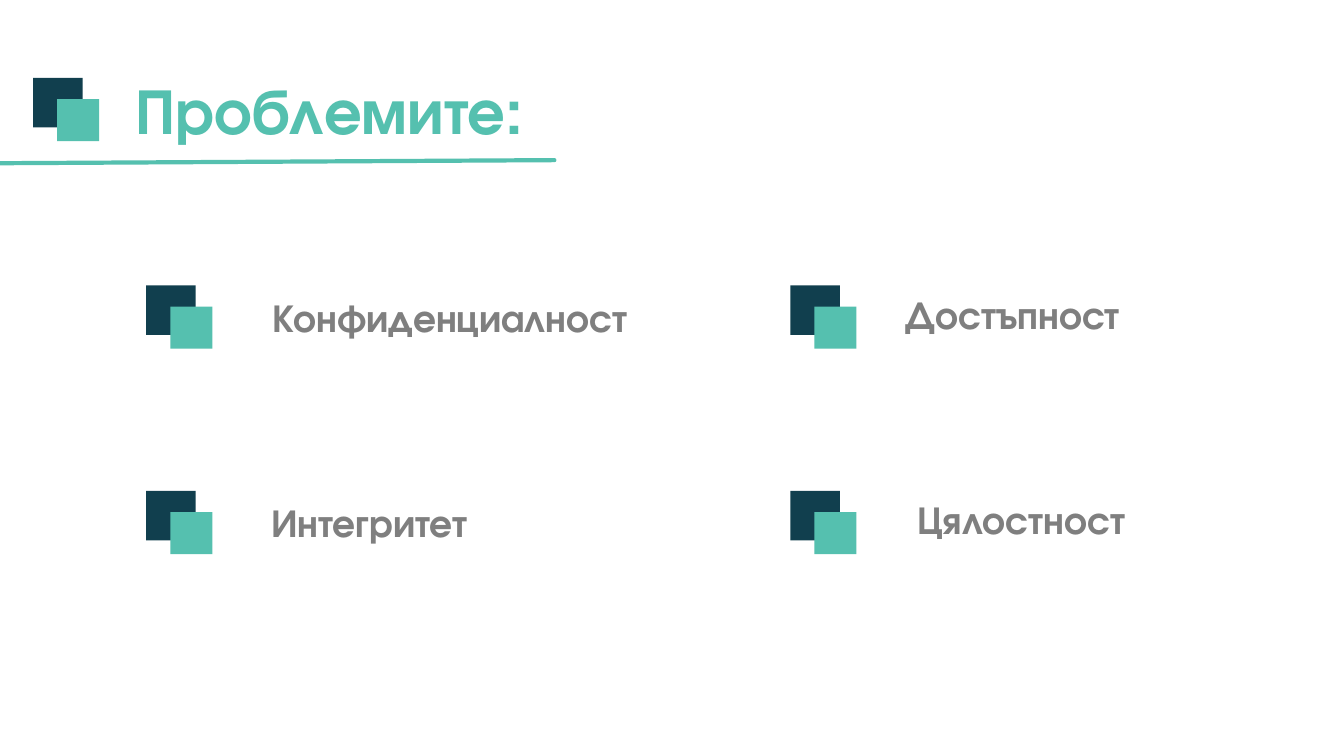
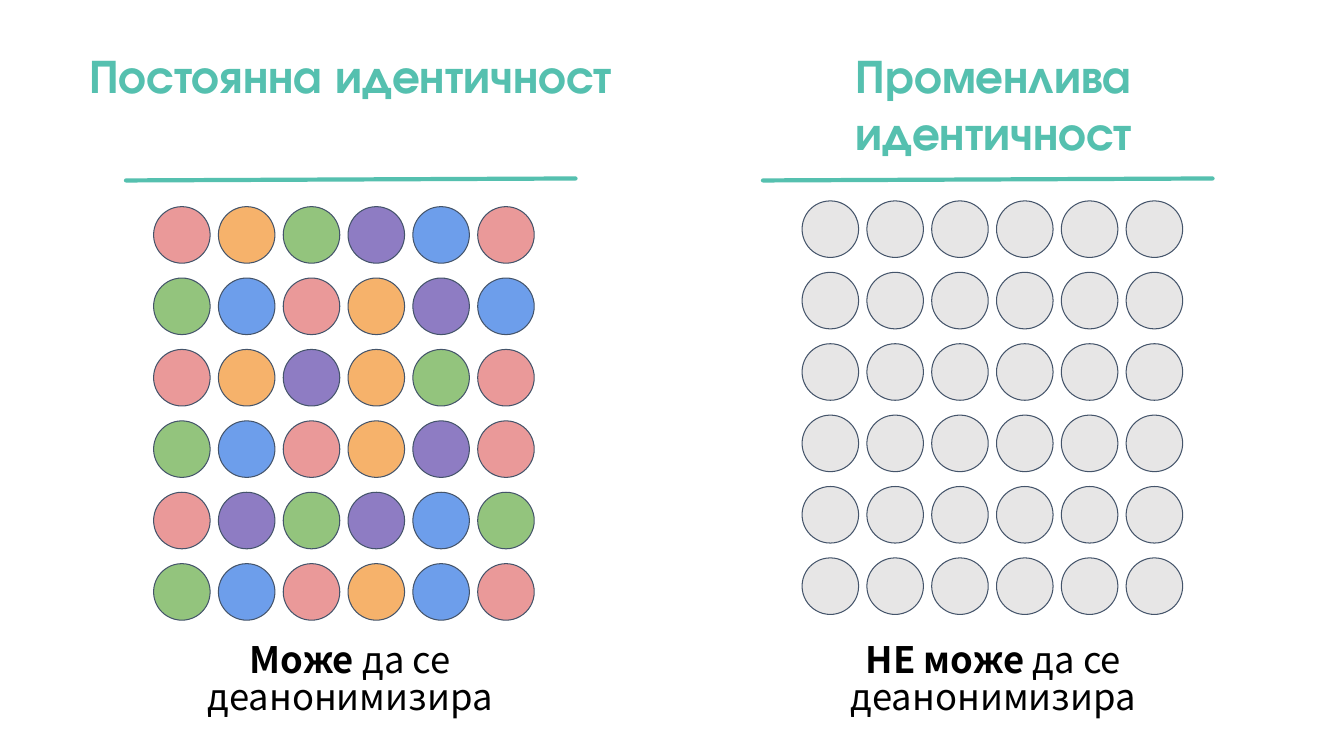
import pptx
import pptx.util
import pptx.dml.color
import pptx.enum.shapes
import pptx.enum.text
import pptx.oxml.ns
import lxml.etree

Pt = pptx.util.Pt
SHAPES = pptx.enum.shapes.MSO_SHAPE

COLOURS = {
    "teal": "55C0AF", "navy": "113F4E", "label": "7F7F7F", "caption": "000000",
    "outline": "44546A", "red": "EA9999", "orange": "F6B26B", "green": "93C47D",
    "purple": "8E7CC3", "blue": "6D9EEB", "grey": "E7E6E6",
}
HEADING_FONT = "TeX Gyre Adventor"
CAPTION_FONT = "Noto Sans CJK SC"
TITLE_ONLY = 5

# One letter per dot, one word per row
DOT_COLOURS = {"R": "red", "O": "orange", "G": "green",
               "P": "purple", "B": "blue", "-": "grey"}
PERMANENT_ROWS = ["ROGPBR", "GBROPB", "ROPOGR", "GBROPR", "RPGPBG", "GBROBR"]
CHANGING_ROWS = ["------"] * 6
DOT_SIZE, DOT_STEP_X, DOT_STEP_Y = 40.4, 46.3, 51

# Label, column, row, label offset from its mark, label width
TOPICS = [
    ("Конфиденциалност", 0, 0, 46.8, 2.1, 340.6),
    ("Достъпност", 1, 0, 55.4, 0, 207.4),
    ("Интегритет", 0, 1, 56.9, 1.5, 205.2),
    ("Цялостност", 1, 1, 39.6, 0, 251.3),
]
TOPIC_LEFT, TOPIC_TOP, TOPIC_STEP_X, TOPIC_STEP_Y = 104.4, 203.8, 460.1, 146.8


def rgb(name):
    return pptx.dml.color.RGBColor.from_string(COLOURS[name])


def add_filled(shapes, kind, left, top, size, colour):
    """Square or circle without shadow or outline."""
    figure = shapes.add_shape(kind, Pt(left), Pt(top), Pt(size), Pt(size))
    figure.shadow.inherit = False
    figure.fill.solid()
    figure.fill.fore_color.rgb = rgb(colour)
    figure.line.fill.background()
    return figure


def add_mark(shapes, left, top):
    """Two overlapping squares."""
    add_filled(shapes, SHAPES.RECTANGLE, left, top, 35.4, "navy")
    add_filled(shapes, SHAPES.RECTANGLE, left + 17.3, top + 15.2, 30, "teal")


def place(holder, left, top, width, height):
    holder.left, holder.top = Pt(left), Pt(top)
    holder.width, holder.height = Pt(width), Pt(height)
    frame = holder.text_frame
    frame.word_wrap = True
    frame.auto_size = pptx.enum.text.MSO_AUTO_SIZE.NONE
    frame.vertical_anchor = pptx.enum.text.MSO_ANCHOR.TOP
    return frame


def format_paragraph(paragraph, font_name, size, colour):
    paragraph.alignment = pptx.enum.text.PP_ALIGN.CENTER
    paragraph.font.name = font_name
    paragraph.font.size = Pt(size)
    paragraph.font.color.rgb = rgb(colour)


def write_heading(holder, text, box, size, colour="teal"):
    frame = place(holder, *box)
    frame.text = text
    for paragraph in frame.paragraphs:
        format_paragraph(paragraph, HEADING_FONT, size, colour)
        paragraph.font.bold = True


def add_textbox(shapes):
    return shapes.add_textbox(0, 0, Pt(72), Pt(72))


def add_rule(slide, left, top, width, rise):
    """Slightly rising line with round ends."""
    rule = slide.shapes.add_connector(
        pptx.enum.shapes.MSO_CONNECTOR.STRAIGHT,
        Pt(left), Pt(top), Pt(left + width), Pt(top - rise))
    rule.line.color.rgb = rgb("teal")
    rule.line.width = Pt(3)
    rule.line._get_or_add_ln().set("cap", "rnd")
    lxml.etree.SubElement(rule._element.spPr, pptx.oxml.ns.qn("a:effectLst"))


def add_topic(slide, label, column, row, shift_x, shift_y, width):
    left = TOPIC_LEFT + column * TOPIC_STEP_X
    top = TOPIC_TOP + row * TOPIC_STEP_Y
    topic = slide.shapes.add_group_shape()
    write_heading(add_textbox(topic.shapes), label,
                  (left + shift_x, top + shift_y, width, 41), 28, "label")
    add_mark(topic.shapes, left, top)


def add_dots(slide, left, top, rows):
    for row, letters in enumerate(rows):
        for column, letter in enumerate(letters):
            dot = add_filled(slide.shapes, SHAPES.OVAL, left + column * DOT_STEP_X,
                             top + row * DOT_STEP_Y, DOT_SIZE, DOT_COLOURS[letter])
            dot.line.color.rgb = rgb("outline")
            dot.line.width = Pt(0.75)


def add_caption(slide, left, stressed, rest):
    frame = place(add_textbox(slide.shapes), left, 452.9, 264.2, 77.8)
    frame.margin_top = frame.margin_bottom = Pt(7.2)
    paragraph = frame.paragraphs[0]
    format_paragraph(paragraph, CAPTION_FONT, 26, "caption")
    paragraph.line_spacing = 0.85
    paragraph.add_run().text = stressed
    paragraph.runs[0].font.bold = True
    paragraph.add_run().text = rest


def add_identity(slide, holder, left, heading, rule_left, dots_at, rows, stressed):
    """One half of the comparison: heading, rule, dots and caption."""
    write_heading(holder, heading, (left, 29.5, 398.9, 90), 34)
    add_rule(slide, rule_left, 128.9, 321.1, 1.4)
    add_dots(slide, *dots_at, rows)
    add_caption(slide, left + 67, stressed, " да се деанонимизира")


def build_problems(deck):
    slide = deck.slides.add_slide(deck.slide_layouts[TITLE_ONLY])
    write_heading(slide.shapes.title, "Проблемите:", (36, 46.8, 398.9, 63.4), 46)
    add_rule(slide, 0, 116.6, 396, 2.2)
    add_mark(slide.shapes.add_group_shape().shapes, 23.6, 55.6)
    for topic in TOPICS:
        add_topic(slide, *topic)


def build_identities(deck):
    slide = deck.slides.add_slide(deck.slide_layouts[TITLE_ONLY])
    add_identity(slide, slide.shapes.title, 51.1, "Постоянна идентичност",
                 90, (109.7, 147.6), PERMANENT_ROWS, "Може")
    add_identity(slide, add_textbox(slide.shapes), 510.5, "Променлива\nидентичност",
                 545, (572.9, 143.5), CHANGING_ROWS, "НЕ може")


def main():
    deck = pptx.Presentation()
    deck.slide_width, deck.slide_height = Pt(960), Pt(540)
    build_problems(deck)
    build_identities(deck)
    deck.save("out.pptx")


if __name__ == "__main__":
    main()
